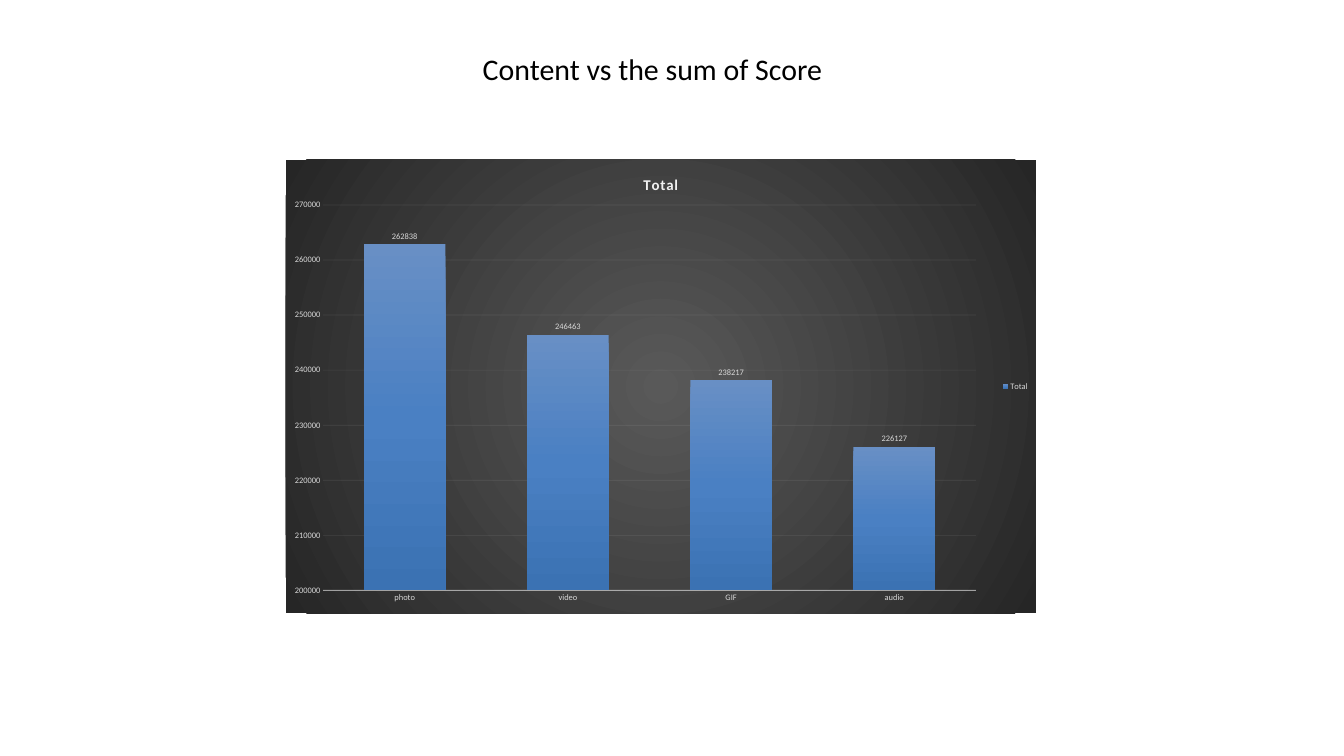
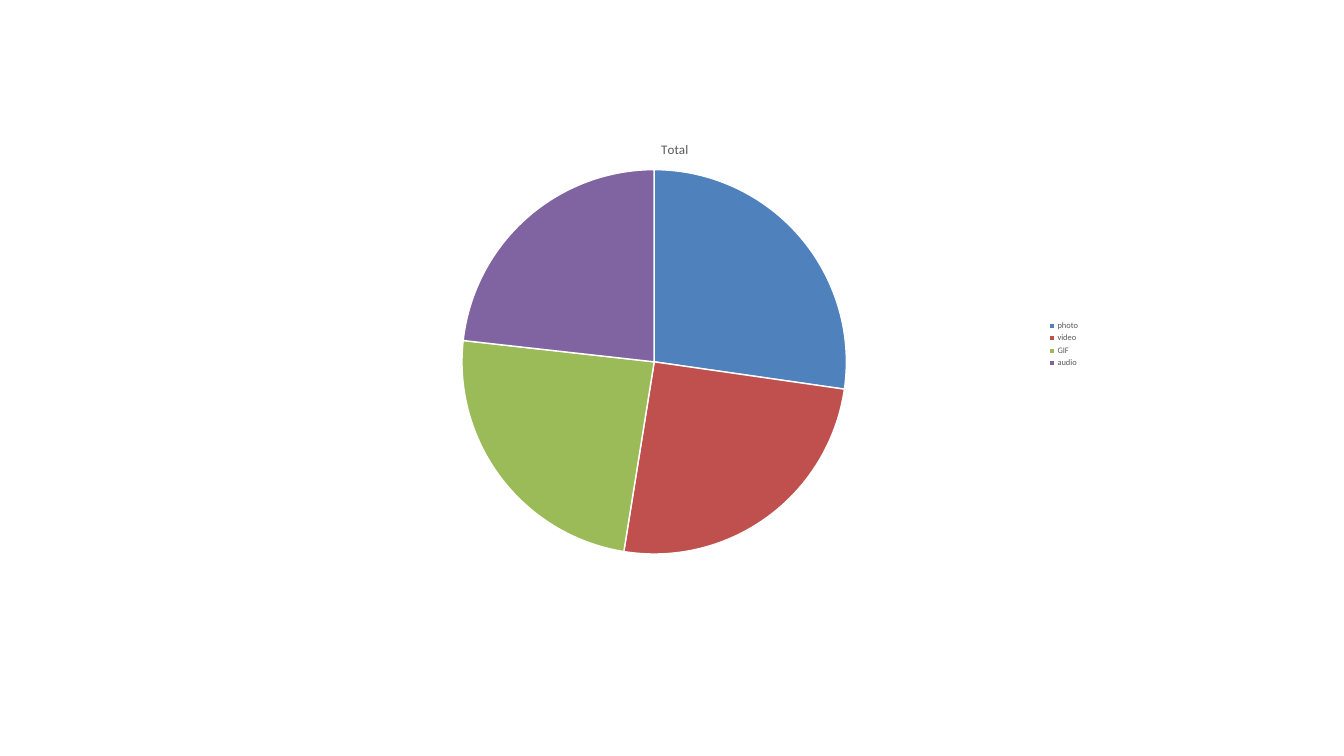
from dataclasses import dataclass

from lxml import etree
from pptx import Presentation
from pptx import util as u
from pptx.chart.data import CategoryChartData
from pptx.dml.color import RGBColor
from pptx.enum import chart as c
from pptx.enum import text as t
from pptx.oxml import parse_xml
from pptx.oxml.ns import nsdecls, qn

SLIDE_SIZE = (1440, 810)
HEADING = "Content vs the sum of Score"
CATEGORIES = ("photo", "video", "GIF", "audio")
SERIES = "Total"
SCORES = (262838, 246463, 238217, 226127)
SHARES = (27, 25, 24, 23)

HEADING_BOX = (510, 51, 420, 46)
COLUMN_BOX = (306, 171, 804, 486)
COLUMN_PLOT = (0.05, 0.1, 0.87, 0.85)
PIE_BOX = (282, 135, 882, 468)
PIE_PLOT = (0.24, 0.1, 0.47, 0.88)
SCORE_AXIS = (200000, 270000, 10000)


@dataclass(frozen=True)
class Theme:
    font: str = "Calibri"
    ink: str = "000000"
    white: str = "FFFFFF"
    light: str = "F2F2F2"
    pale: str = "D9D9D9"
    grey: str = "595959"
    backdrop: tuple = ((0, "595959"), (100, "262626"))
    column: tuple = ((0, "688FC5"), (50, "4A80C3"), (100, "3B72B3"))
    slices: tuple = ("4F81BD", "C0504D", "9BBB59", "8064A2")
    heading_size: int = 32
    column_title_size: int = 16
    pie_title_size: int = 14
    base_size: int = 10
    label_size: int = 9


THEME = Theme()
RADIAL = '<a:path path="circle"><a:fillToRect l="50000" t="50000" r="50000" b="50000"/></a:path>'
LINEAR = '<a:lin ang="5400000" scaled="0"/>'


def points(box):
    return [u.Pt(length) for length in box]


def style_font(font, size, color, bold=False):
    font.name = THEME.font
    font.size = u.Pt(size)
    font.bold = bold
    font.color.rgb = RGBColor.from_string(color)


def gradient(stops, direction):
    marks = "".join(
        f'<a:gs pos="{position * 1000}"><a:srgbClr val="{color}"/></a:gs>'
        for position, color in stops
    )
    return parse_xml(
        f'<a:gradFill {nsdecls("a")} rotWithShape="1"><a:gsLst>{marks}</a:gsLst>{direction}</a:gradFill>'
    )


def style_line(line, color, width):
    line.color.rgb = RGBColor.from_string(color)
    line.width = u.Pt(width)


def set_opacity(chart, owner, percent):
    for color in chart.element.xpath(f".//{owner}/c:spPr/a:ln//a:srgbClr"):
        etree.SubElement(color, qn("a:alpha")).set("val", str(percent * 1000))


def place_plot(chart, plot_box):
    area = chart.element.find(f".//{qn('c:plotArea')}")
    for layout in area.findall(qn("c:layout")):
        area.remove(layout)
    layout = etree.Element(qn("c:layout"))
    manual = etree.SubElement(layout, qn("c:manualLayout"))
    settings = [("layoutTarget", "inner"), ("xMode", "edge"), ("yMode", "edge")]
    for name, value in settings + list(zip("xywh", plot_box)):
        etree.SubElement(manual, qn(f"c:{name}")).set("val", str(value))
    area.insert(0, layout)


def add_chart(slide, kind, values, box, plot_box, title_style, label_color):
    data = CategoryChartData()
    data.categories = CATEGORIES
    data.add_series(SERIES, values)
    chart = slide.shapes.add_chart(kind, *points(box), data).chart
    style_font(chart.font, THEME.base_size, THEME.ink)
    chart.has_title = True
    chart.chart_title.text_frame.text = SERIES
    style_font(chart.chart_title.text_frame.paragraphs[0].runs[0].font, *title_style)
    chart.has_legend = True
    chart.legend.position = c.XL_LEGEND_POSITION.RIGHT
    chart.legend.include_in_layout = False
    style_font(chart.legend.font, THEME.label_size, label_color)
    place_plot(chart, plot_box)
    return chart


def style_axes(chart):
    for axis in (chart.category_axis, chart.value_axis):
        axis.major_tick_mark = axis.minor_tick_mark = c.XL_TICK_MARK.NONE
        style_font(axis.tick_labels.font, THEME.label_size, THEME.pale)
    style_line(chart.category_axis.format.line, THEME.light, 1)
    scores = chart.value_axis
    scores.minimum_scale, scores.maximum_scale, scores.major_unit = SCORE_AXIS
    scores.format.line.fill.background()
    scores.has_major_gridlines = True
    style_line(scores.major_gridlines.format.line, THEME.light, 0.75)
    set_opacity(chart, "c:catAx", 54)
    set_opacity(chart, "c:majorGridlines", 10)


def add_score_columns(slide):
    title_style = (THEME.column_title_size, THEME.light, True)
    chart = add_chart(slide, c.XL_CHART_TYPE.COLUMN_CLUSTERED, SCORES, COLUMN_BOX,
                      COLUMN_PLOT, title_style, THEME.pale)
    title_run = chart.chart_title.text_frame.paragraphs[0].runs[0]
    title_run.font.element.set("spc", "100") if hasattr(title_run.font, "element") else None
    for properties in chart.element.xpath(".//c:title//a:r/a:rPr"):
        properties.set("spc", "100")
    style_axes(chart)

    plot = chart.plots[0]
    plot.vary_by_categories = False
    plot.gap_width = 100
    plot.overlap = -24
    plot.has_data_labels = True
    labels = plot.data_labels
    labels.show_value = True
    labels.position = c.XL_LABEL_POSITION.OUTSIDE_END
    style_font(labels.font, THEME.label_size, THEME.pale)

    plot.series[0].format.fill.solid()
    solid = chart.element.xpath(".//c:ser/c:spPr/a:solidFill")[0]
    solid.getparent().replace(solid, gradient(THEME.column, LINEAR))

    backdrop = parse_xml(f'<c:spPr {nsdecls("c", "a")}><a:ln><a:noFill/></a:ln></c:spPr>')
    backdrop.insert(0, gradient(THEME.backdrop, RADIAL))
    chart.element.find(qn("c:chart")).addnext(backdrop)


def add_share_pie(slide):
    title_style = (THEME.pie_title_size, THEME.grey)
    chart = add_chart(slide, c.XL_CHART_TYPE.PIE, SHARES, PIE_BOX,
                      PIE_PLOT, title_style, THEME.grey)
    plot = chart.plots[0]
    plot.vary_by_categories = True
    for index, color in enumerate(THEME.slices):
        slice_format = plot.series[0].points[index].format
        slice_format.fill.solid()
        slice_format.fill.fore_color.rgb = RGBColor.from_string(color)
        style_line(slice_format.line, THEME.white, 1.5)


def add_heading(slide):
    title = slide.shapes.title
    title.left, title.top, title.width, title.height = points(HEADING_BOX)
    frame = title.text_frame
    frame.text = HEADING
    frame.word_wrap = True
    frame.auto_size = t.MSO_AUTO_SIZE.SHAPE_TO_FIT_TEXT
    frame.vertical_anchor = t.MSO_ANCHOR.TOP
    paragraph = frame.paragraphs[0]
    paragraph.alignment = t.PP_ALIGN.LEFT
    style_font(paragraph.runs[0].font, THEME.heading_size, THEME.ink)


def main():
    presentation = Presentation()
    presentation.slide_width, presentation.slide_height = points(SLIDE_SIZE)
    title_only, blank = presentation.slide_layouts[5], presentation.slide_layouts[6]

    score_slide = presentation.slides.add_slide(title_only)
    add_score_columns(score_slide)
    add_heading(score_slide)

    add_share_pie(presentation.slides.add_slide(blank))
    presentation.save("out.pptx")


if __name__ == "__main__":
    main()
